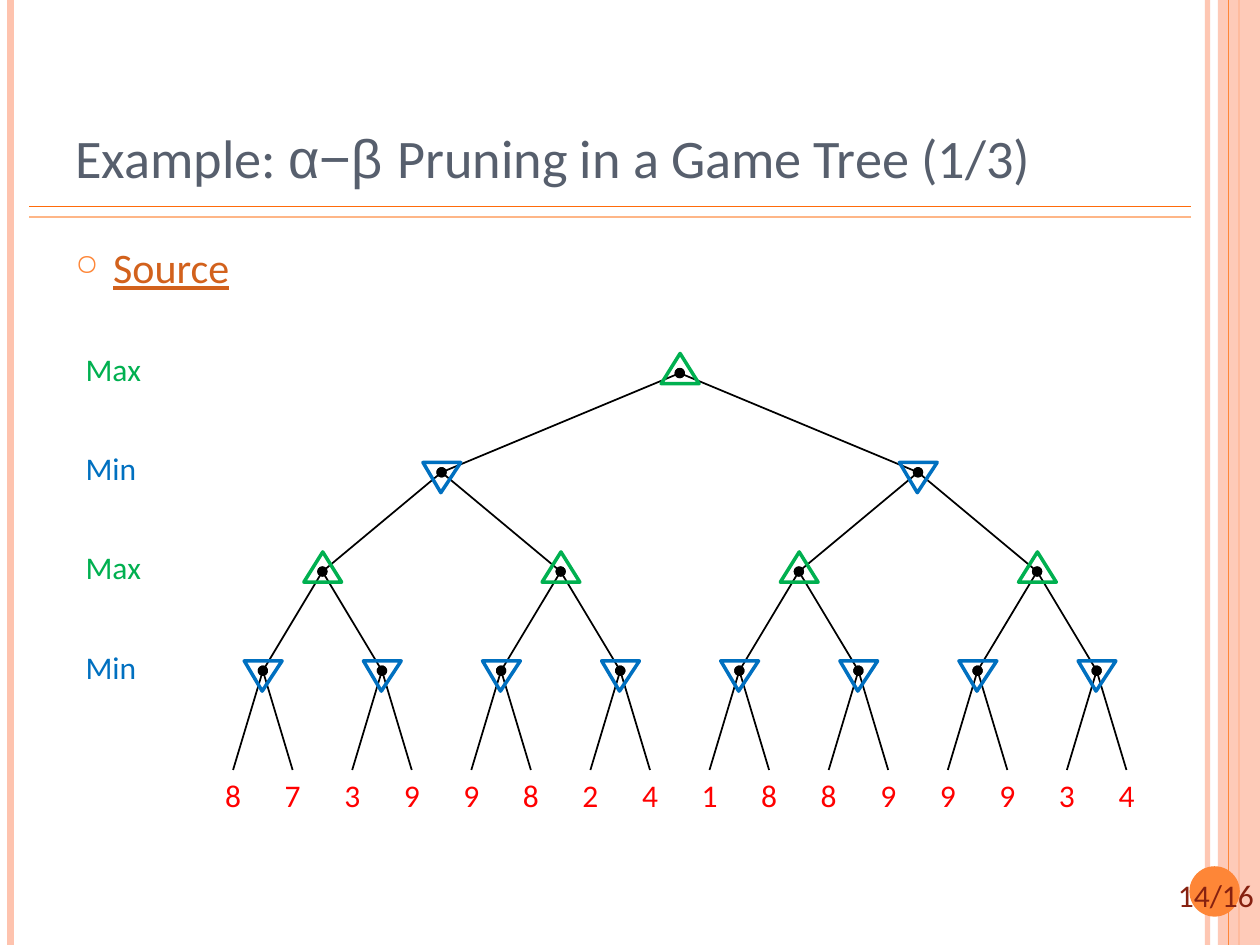
from lxml import etree
from pptx import Presentation
from pptx.dml.color import RGBColor
from pptx.enum.shapes import MSO_CONNECTOR, MSO_SHAPE
from pptx.enum.text import MSO_ANCHOR, PP_ALIGN
from pptx.oxml.ns import qn
from pptx.util import Pt

STRAIGHT = MSO_CONNECTOR.STRAIGHT
RECT = MSO_SHAPE.RECTANGLE
OVAL = MSO_SHAPE.OVAL
PEAK = MSO_SHAPE.ISOSCELES_TRIANGLE
TOP, BOTTOM = MSO_ANCHOR.TOP, MSO_ANCHOR.BOTTOM
LEFT, CENTER = PP_ALIGN.LEFT, PP_ALIGN.CENTER

ORANGE, PINK, BLACK = "FE8637", "FEC3AE", "000000"
GREEN, BLUE, RED = "00B050", "0070C0", "FF0000"
LEAVES = "8739982418899934"
LEVELS = [("Max", GREEN), ("Min", BLUE), ("Max", GREEN), ("Min", BLUE)]


def paint(target, color, alpha=100):
    target.solid()
    target.fore_color.rgb = RGBColor.from_string(color)
    if alpha < 100:
        tone = target._xPr.find(qn("a:solidFill"))[0]
        etree.SubElement(tone, qn("a:alpha"), val=str(alpha * 1000))


def add_line(slide, start, end, color, width, alpha=100, dot=False):
    line = slide.shapes.add_connector(STRAIGHT, *map(Pt, (*start, *end)))
    line.line.width = Pt(width)
    paint(line.line.fill, color, alpha)
    props = line._element.spPr
    if dot:
        etree.SubElement(props.find(qn("a:ln")), qn("a:headEnd"), type="oval")
    etree.SubElement(props, qn("a:effectLst"))


def add_form(slide, kind, box, fill=None, alpha=100, edge=None):
    form = slide.shapes.add_shape(kind, *map(Pt, box))
    form.shadow.inherit = False
    if fill:
        paint(form.fill, fill, alpha)
    else:
        form.fill.background()
    if edge:
        paint(form.line.fill, edge)
        form.line.width = Pt(2)
    else:
        form.line.fill.background()
    return form


def add_text(slide, box, runs, size=18, color=BLACK, align=LEFT,
             anchor=TOP, wrap=True, under=False, bullet=None):
    frame = slide.shapes.add_textbox(*map(Pt, box)).text_frame
    frame.word_wrap = wrap
    frame.vertical_anchor = anchor
    para = frame.paragraphs[0]
    para.alignment = align
    if bullet:
        props = para._p.get_or_add_pPr()
        props.set("marL", str(Pt(21.6)))
        props.set("indent", str(Pt(-21.6)))
        tint = etree.SubElement(props, qn("a:buClr"))
        etree.SubElement(tint, qn("a:srgbClr"), val=ORANGE)
        etree.SubElement(props, qn("a:buSzPct"), val="70000")
        etree.SubElement(props, qn("a:buChar"), char=bullet)
    for text, face in runs:
        run = para.add_run()
        run.text = text
        run.font.name = face
        run.font.size = Pt(size)
        run.font.color.rgb = RGBColor.from_string(color)
        if under:
            run.font.underline = True


def draw_frame(slide, wide, high):
    def rail(x, color, width, alpha=100):
        add_line(slide, (x, 0), (x, high), color, width, alpha)

    rail(wide - 30, PINK, 3, 93)
    rail(6, PINK, 4.5)
    rail(wide - 12, ORANGE, 1.5)
    add_form(slide, RECT, (wide - 24, 0, 24, high), PINK, 87)
    rail(wide - 18, ORANGE, 0.75)
    for y, color in ((118, "FF6B0A"), (124, "FEB687")):
        add_line(slide, (16.75, y), (wide - 39.5, y), color, 1)
    add_form(slide, OVAL, (wide - 40.3, high - 45, 28.8, 28.8), ORANGE)
    add_text(slide, (wide - 54, high - 43.2, 65.5, 28.8),
             [("14/16", "Calibri")], color="862110")


def draw_head(slide, left, top, wide):
    add_text(slide, (left, top, wide, 90),
             [("Example: ", "Calibri"), ("α−β ", "Arial"),
              ("Pruning in a Game Tree (1/3)", "Calibri")],
             size=31, color="575F6D", anchor=BOTTOM)
    add_text(slide, (left, top + 113, wide, 375), [("Source", "Calibri")],
             size=24, color="D2611C", under=True, bullet="○")


def draw_tree(slide, left, top, wide, high):
    depth = len(LEVELS)
    step = wide / (len(LEAVES) - 1)
    drop = high / depth

    def spot(level, index):
        span = len(LEAVES) / 2 ** level
        return left + step * ((index + 0.5) * span - 0.5), top + drop * level

    for level in reversed(range(depth)):
        for index in range(2 ** level):
            for child in (2 * index, 2 * index + 1):
                add_line(slide, spot(level, index), spot(level + 1, child),
                         BLACK, 1, dot=True)

    for level, (name, color) in enumerate(LEVELS):
        add_text(slide, (41.8, top + drop * level - 16.7, 46, 28.8),
                 [(name, "Calibri")], color=color, wrap=False)
        for index in range(2 ** level):
            x, y = spot(level, index)
            rise = 11.2 if name == "Max" else 5.6
            node = add_form(slide, PEAK, (x - 10.6, y - rise, 21.6, 17.3),
                            edge=color)
            if name == "Min":
                node.adjustments[0] = 0.475
                node._element.spPr.find(qn("a:xfrm")).set("flipV", "1")

    for index, value in enumerate(LEAVES):
        x, y = spot(depth, index)
        add_text(slide, (x - 12, y, 24, 28.8), [(value, "Calibri")],
                 color=RED, align=CENTER, wrap=False)


def main():
    deck = Presentation()
    deck.slide_width, deck.slide_height = Pt(720), Pt(540)
    slide = deck.slides.add_slide(deck.slide_layouts[6])
    draw_frame(slide, 720, 540)
    draw_head(slide, 36, 21.6, 588)
    draw_tree(slide, 133.2, 213.2, 510.5, 226.8)
    deck.save("out.pptx")


if __name__ == "__main__":
    main()
